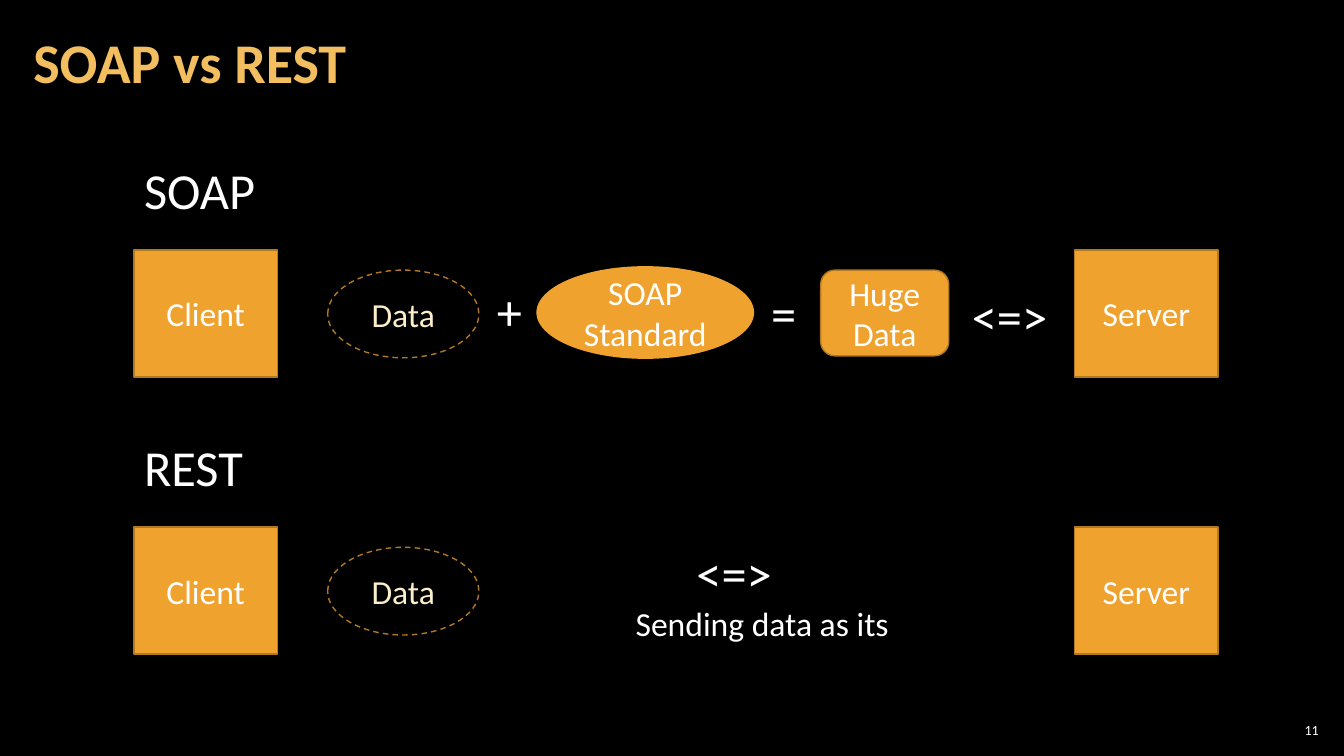
from pptx import Presentation
from pptx.dml.color import RGBColor
from pptx.enum.dml import MSO_LINE
from pptx.enum.shapes import MSO_SHAPE
from pptx.enum.text import MSO_ANCHOR, MSO_AUTO_SIZE, PP_ALIGN
from pptx.util import Inches, Pt

LEFT, CENTER, RIGHT = PP_ALIGN.LEFT, PP_ALIGN.CENTER, PP_ALIGN.RIGHT
MIDDLE = MSO_ANCHOR.MIDDLE
RECTANGLE, OVAL, ROUNDED = MSO_SHAPE.RECTANGLE, MSO_SHAPE.OVAL, MSO_SHAPE.ROUNDED_RECTANGLE

FONT = "Calibri"
BLACK, WHITE, CREAM = "000000", "FFFFFF", "FBEEC9"
ORANGE, BROWN, GOLD = "F0A22E", "B27822", "F3BE60"

# Grid in inches: each column is (left, width), each row starts at its heading
COLUMNS = {
    "client": (1.33, 1.42),
    "data": (3.25, 1.5),
    "plus": (4.83, 0.45),
    "standard": (5.32, 2.16),
    "equals": (7.55, 0.45),
    "message": (5.66, 3.8),
    "huge": (8.14, 1.27),
    "exchange": (9.54, 0.95),
    "server": (10.66, 1.42),
}
SOAP_TOP, ROW_PITCH = 1.53, 2.75
REST_TOP = SOAP_TOP + ROW_PITCH
SIGN_HEIGHT = 0.71


def color(hex_code):
    return RGBColor.from_string(hex_code)


def cell(column, row_top, offset, height):
    """Position and size of an element in a column, below the top of its row."""
    left, width = COLUMNS[column]
    return [Inches(value) for value in (left, row_top + offset, width, height)]


def format_paragraph(paragraph, size, hex_code=WHITE, align=LEFT, bold=False):
    paragraph.alignment = align
    for run in paragraph.runs:
        run.font.name = FONT
        run.font.size = Pt(size)
        run.font.bold = bold
        run.font.color.rgb = color(hex_code)


def add_node(slide, kind, box, text, fill=ORANGE, line=BROWN, text_color=WHITE):
    """Add a labelled shape; without a fill its outline is dashed."""
    shape = slide.shapes.add_shape(kind, *box)
    shape.shadow.inherit = False
    if fill:
        shape.fill.solid()
        shape.fill.fore_color.rgb = color(fill)
    else:
        shape.fill.background()
        shape.line.dash_style = MSO_LINE.DASH
    if line:
        shape.line.color.rgb = color(line)
        shape.line.width = Pt(1)
    else:
        shape.line.fill.background()
    shape.text_frame.text = text
    shape.text_frame.vertical_anchor = MIDDLE
    for paragraph in shape.text_frame.paragraphs:
        format_paragraph(paragraph, 24, text_color, CENTER)


def add_label(slide, box, text, size=36, align=LEFT, wrap=True):
    frame = slide.shapes.add_textbox(*box).text_frame
    frame.word_wrap = wrap
    frame.text = text
    for paragraph in frame.paragraphs:
        format_paragraph(paragraph, size, align=align)
    return frame


def add_title(slide, text):
    title = slide.shapes.title
    title.left, title.top, title.width, title.height = map(Inches, (0.21, 0.04, 10.47, 1.21))
    frame = title.text_frame
    frame.text = text
    frame.auto_size = MSO_AUTO_SIZE.NONE
    frame.vertical_anchor = MIDDLE
    frame.margin_left = frame.margin_right = Inches(0.12)
    frame.margin_top = frame.margin_bottom = Inches(0.04)
    frame.paragraphs[0].line_spacing = 0.9
    format_paragraph(frame.paragraphs[0], 40, GOLD, bold=True)


def add_page_number(slide, text):
    box = [Inches(value) for value in (12.65, 7.14, 0.47, 0.21)]
    frame = add_label(slide, box, text, 10, RIGHT)
    frame.vertical_anchor = MIDDLE
    frame.margin_left = frame.margin_right = Inches(0.04)
    frame.margin_top = frame.margin_bottom = Inches(0.04)


def add_row(slide, heading, top):
    """Add what both protocols share: heading, client, data and server."""
    add_label(slide, cell("client", top, 0, SIGN_HEIGHT), heading)
    add_node(slide, RECTANGLE, cell("client", top, 0.95, 1.26), "Client")
    add_node(slide, OVAL, cell("data", top, 1.15, 0.87), "Data", fill=None, text_color=CREAM)
    add_node(slide, RECTANGLE, cell("server", top, 0.95, 1.26), "Server")


def add_soap_steps(slide, top):
    add_node(slide, OVAL, cell("standard", top, 1.11, 0.92), "SOAP\nStandard", line=None)
    add_node(slide, ROUNDED, cell("huge", top, 1.15, 0.85), "Huge Data")
    for column, offset, sign in (("plus", 1.2, "+"), ("equals", 1.22, "="), ("exchange", 1.25, "<=>")):
        add_label(slide, cell(column, top, offset, SIGN_HEIGHT), sign, wrap=False)


def add_rest_message(slide, top):
    frame = add_label(slide, cell("message", top, 1.05, 1.11), "<=>\nSending data as its")
    sign, message = frame.paragraphs
    # The sign is indented so that it stands left of the message's centre
    sign._p.get_or_add_pPr().set("marL", str(Inches(1.15)))
    format_paragraph(message, 24, align=CENTER)


def main():
    presentation = Presentation()
    presentation.slide_width, presentation.slide_height = Inches(13.33), Inches(7.5)
    slide = presentation.slides.add_slide(presentation.slide_layouts.get_by_name("Title Only"))
    slide.background.fill.solid()
    slide.background.fill.fore_color.rgb = color(BLACK)

    # Title and page number
    add_title(slide, "SOAP vs REST")
    add_page_number(slide, "11")

    # SOAP row
    add_row(slide, "SOAP", SOAP_TOP)
    add_soap_steps(slide, SOAP_TOP)

    # REST row
    add_row(slide, "REST", REST_TOP)
    add_rest_message(slide, REST_TOP)

    presentation.save("out.pptx")


if __name__ == "__main__":
    main()
